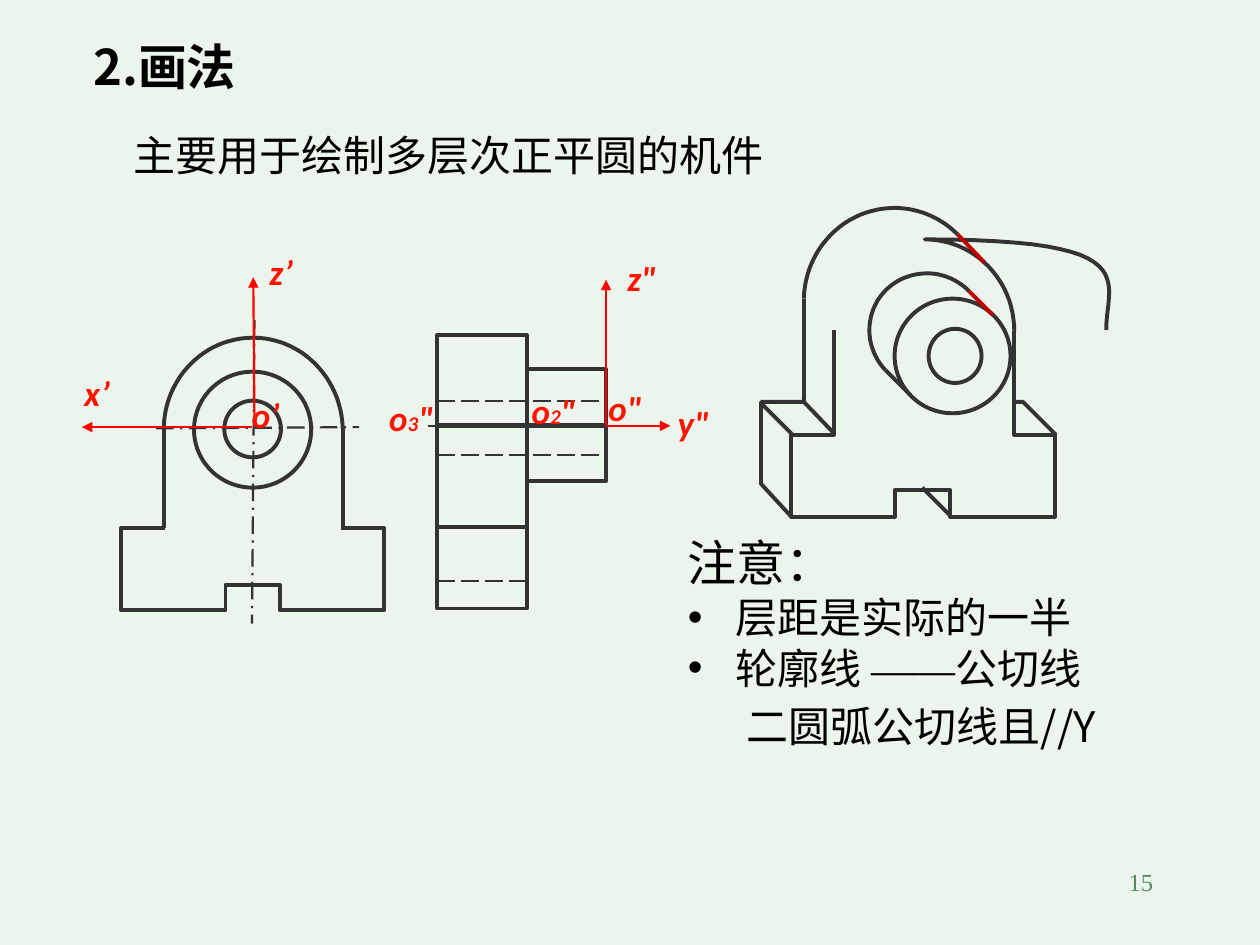
from lxml import etree
from pptx import Presentation
from pptx.dml.color import RGBColor
from pptx.enum.dml import MSO_LINE
from pptx.enum.shapes import MSO_CONNECTOR, MSO_SHAPE
from pptx.enum.text import MSO_ANCHOR, MSO_AUTO_SIZE, PP_ALIGN
from pptx.oxml.ns import qn
from pptx.util import Inches, Pt

DASH, CENTRE = MSO_LINE.LONG_DASH, MSO_LINE.LONG_DASH_DOT
STRAIGHT, OVAL = MSO_CONNECTOR.STRAIGHT, MSO_SHAPE.OVAL
LEFT, RIGHT = PP_ALIGN.LEFT, PP_ALIGN.RIGHT
CJK, LABEL_FONT, SERIF = "Noto Sans CJK SC", "Calibri", "Times New Roman"
COLORS = {"paper": "ECF5EC", "ink": "333333", "black": "000000", "axis": "FF0000",
          "label": "FE1402", "tangent": "C00000", "number": "578963"}
UNITS = 1000  # freeform units per inch
CURVE_STEPS = 24

# Text: boxes are left, top, width, height in inches
TITLE = ("2.画法", (0.64, 0.21, 9.36, 0.57))
INTRO = ("主要用于绘制多层次正平圆的机件", (0.96, 0.95, 9.04, 0.5))
CLOSING = ("二圆弧公切线且//Y", (5.83, 5.48, 4.17, 0.5))
NUMBER = ("15", (7.17, 6.83, 2.08, 0.5))
NOTES_BOX = (5.36, 4.15, 4.64, 1.37)
NOTES = [  # runs, size, bulleted
    (["注意："], 28, False),
    (["层距是实际的一半"], 24, True),
    (["轮廓线 ", "——", "公切线"], 24, True),
]
AXIS_LABELS = [  # letter, subscript, mark, left, top, width
    ("o", "2", "\"", 4.12, 3.04, 0.58), ("o", "3", "\"", 2.99, 3.1, 0.58),
    ("x", "", "’", 0.57, 2.9, 0.74), ("z", "", "’", 2.04, 1.94, 0.38),
    ("o", "", "’", 1.9, 3.07, 0.42), ("y", "", "\"", 5.28, 3.14, 0.47),
    ("z", "", "\"", 4.88, 1.99, 0.45), ("o", "", "\"", 4.73, 3.02, 0.49),
]

# Outlines: pairs are corners, six numbers are a curve (two controls, end)
FRONT_VIEW = [
    [(2.72, 3.4), (2.71, 3, 2.39, 2.68, 2.01, 2.68), (1.62, 2.68, 1.31, 3, 1.3, 3.39)],
    [(1.31, 4.19), (0.96, 4.19), (0.96, 4.84), (1.79, 4.84), (1.79, 4.64), (2.22, 4.64),
     (2.22, 4.84), (3.05, 4.84), (3.05, 4.19), (2.73, 4.19)],
]
SIDE_VIEW = [
    [(4.18, 4.83), (3.47, 4.83), (3.47, 2.66), (4.18, 2.66), (4.18, 2.93), (4.81, 2.93),
     (4.81, 3.82), (4.18, 3.82), (4.18, 4.83)],
]
OBLIQUE_VIEW = [
    [(7.03, 2.94), (6.95, 2.86, 6.9, 2.74, 6.9, 2.62), (6.9, 2.37, 7.1, 2.17, 7.36, 2.17),
     (7.48, 2.17, 7.6, 2.22, 7.69, 2.31)],
    [(8.05, 2.63), (8.05, 2.22, 7.73, 1.9, 7.34, 1.9), (9.1, 1.9, 8.78, 2.22, 8.78, 2.62)],
    [(7.6, 1.86), (7.47, 1.73, 7.29, 1.65, 7.1, 1.65), (6.71, 1.65, 6.39, 1.97, 6.38, 2.37)],
    [(6.62, 2.62), (6.62, 3.45), (6.28, 3.45), (6.28, 4.1), (7.1, 4.1), (7.1, 3.89),
     (7.54, 3.89), (7.54, 4.1), (8.37, 4.1), (8.37, 3.45), (8.05, 3.45), (8.05, 2.63)],
    [(6.38, 3.19), (6.04, 3.19), (6.04, 3.84), (6.28, 4.1)],
    [(8.38, 3.45), (8.12, 3.19), (8.04, 3.19)],
]
CIRCLES = [  # centre x, centre y, width, height
    (2.005, 3.41, 0.93, 0.92), (2.005, 3.405, 0.45, 0.45),
    (7.56, 2.825, 0.92, 0.91), (7.58, 2.825, 0.42, 0.43),
]
LINE_GROUPS = [  # colour, width, dash, arrow, (x1, y1, x2, y2)
    ("ink", 3, None, False, [(4.19, 3.38, 4.81, 3.38), (3.46, 3.38, 4.17, 3.38)]),
    ("ink", 2.25, None, False, [
        (1.3, 3.38, 1.3, 4.19), (2.72, 3.38, 2.72, 4.21),
        (4.18, 2.93, 4.18, 3.82), (3.47, 4.18, 4.18, 4.18),
        (7.03, 2.94, 7.23, 3.14), (6.38, 2.37, 6.38, 3.2), (6.04, 3.2, 6.29, 3.45),
        (6.38, 3.19, 6.62, 3.44), (7.54, 4.09, 7.32, 3.87)]),
    ("ink", 1.25, DASH, False, [(3.47, 3.18, 4.81, 3.18), (3.47, 3.61, 4.81, 3.61),
                                (3.47, 4.61, 4.18, 4.61)]),
    ("ink", 1.25, CENTRE, False, [(1.24, 3.4, 2.85, 3.39), (2.02, 2.54, 2, 4.95)]),
    ("ink", 0.75, CENTRE, False, [(3.4, 3.38, 4.99, 3.38)]),
    ("tangent", 2.25, None, False, [(7.69, 2.31, 7.88, 2.5), (7.6, 1.86, 7.81, 2.08)]),
    ("axis", 1.25, None, True, [(2, 3.39, 0.65, 3.39), (2.02, 3.37, 2.01, 2.2),
                                (4.81, 3.38, 5.32, 3.38), (4.81, 3.38, 4.81, 2.22)]),
]


def color(name):
    return RGBColor.from_string(COLORS[name])


def place(shape, box):
    shape.left, shape.top, shape.width, shape.height = map(Inches, box)


def style(para, size, font, ink, bold=False, italic=False, align=LEFT):
    para.alignment = align
    para.space_before = para.space_after = Pt(0)
    para.font.size, para.font.name = Pt(size), font
    para.font.bold, para.font.italic = bold, italic
    para.font.color.rgb = color(ink)
    if font == CJK:
        para.line_spacing = Pt(round(size * 1.2, 1))
        defaults = para._p.pPr.find(qn("a:defRPr"))
        etree.SubElement(defaults, qn("a:ea"), typeface=font)


def set_frame(shape, top_inset=0.05, wrap=True):
    frame = shape.text_frame
    frame.word_wrap, frame.auto_size = wrap, MSO_AUTO_SIZE.NONE
    frame.vertical_anchor = MSO_ANCHOR.TOP
    frame.margin_top = Inches(top_inset)
    return frame


def set_bullet(para, bulleted):
    props = para._p.get_or_add_pPr()
    indent = Inches(0.38) if bulleted else 0
    props.set("marL", str(indent))
    props.set("indent", str(-indent))
    if bulleted:
        etree.SubElement(props, qn("a:buFont"), typeface="Arial")
        etree.SubElement(props, qn("a:buChar"), char="•")
    else:
        etree.SubElement(props, qn("a:buNone"))


def draw_outline(shapes, segments):
    points = [segments[0]]
    for segment in segments[1:]:
        if len(segment) == 2:
            points.append(segment)
            continue
        start, a, b, end = points[-1], segment[:2], segment[2:4], segment[4:]
        for step in range(1, CURVE_STEPS + 1):
            t = step / CURVE_STEPS
            u = 1 - t
            points.append(tuple(u**3 * p + 3 * u * u * t * q + 3 * u * t * t * r + t**3 * s
                                for p, q, r, s in zip(start, a, b, end)))
    scaled = [(round(x * UNITS), round(y * UNITS)) for x, y in points]
    builder = shapes.build_freeform(*scaled[0], scale=Inches(1) / UNITS)
    builder.add_line_segments(scaled[1:], close=scaled[0] == scaled[-1])
    return builder.convert_to_shape()


def draw_line(shapes, ends, ink, width, dash, arrow):
    line = shapes.add_connector(STRAIGHT, *map(Inches, ends))
    line.line.color.rgb, line.line.width = color(ink), Pt(width)
    if dash:
        line.line.dash_style = dash
    if arrow:
        etree.SubElement(line.line._get_or_add_ln(), qn("a:tailEnd"), type="triangle")
    etree.SubElement(line._element.spPr, qn("a:effectLst"))


def main():
    deck = Presentation()
    deck.slide_width, deck.slide_height = Inches(10), Inches(7.5)
    page = deck.slides.add_slide(deck.slide_layouts[1])
    page.background.fill.solid()
    page.background.fill.fore_color.rgb = color("paper")
    shapes = page.shapes

    # Title, running text and page number
    body = page.placeholders[1]
    for (text, box), size, font, ink, align in (
            (TITLE, 28, CJK, "black", LEFT), (INTRO, 24, CJK, "black", LEFT),
            (CLOSING, 24, CJK, "black", LEFT), (NUMBER, 14, SERIF, "number", RIGHT)):
        is_title = text == TITLE[0]
        shape = shapes.title if is_title else shapes.add_textbox(0, 0, 0, 0)
        place(shape, box)
        frame = set_frame(shape, 0.08 if font == CJK else 0.05)
        frame.text = text
        style(frame.paragraphs[0], size, font, ink, bold=is_title, align=align)

    # Notes list
    place(body, NOTES_BOX)
    frame = set_frame(body, 0.08)
    for index, (texts, size, bulleted) in enumerate(NOTES):
        para = frame.paragraphs[0] if index == 0 else frame.add_paragraph()
        set_bullet(para, bulleted)
        style(para, size, CJK, "black")
        for text in texts:
            span = para.add_run()
            span.text = text
            if text == "——":
                span.font.name = SERIF
                etree.SubElement(span.font._element, qn("a:ea"), typeface=SERIF)

    # Three views of the part
    outlines = [draw_outline(shapes, path) for path in FRONT_VIEW + SIDE_VIEW + OBLIQUE_VIEW]
    circles = [shapes.add_shape(OVAL, *map(Inches, (x - w / 2, y - h / 2, w, h)))
               for x, y, w, h in CIRCLES]
    for shape in outlines + circles:
        shape.shadow.inherit = False
        shape.fill.background()
        shape.line.color.rgb, shape.line.width = color("ink"), Pt(2.25)
    for ink, width, dash, arrow, lines in LINE_GROUPS:
        for ends in lines:
            draw_line(shapes, ends, ink, width, dash, arrow)

    # Axis labels
    for letter, subscript, mark, left, top, width in AXIS_LABELS:
        box = shapes.add_textbox(*map(Inches, (left, top, width, 0.44)))
        para = set_frame(box, wrap=False).paragraphs[0]
        style(para, 20, LABEL_FONT, "label", bold=True, italic=True)
        for text in filter(None, (letter, subscript, mark)):
            span = para.add_run()
            span.text = text
            if text == subscript:
                span.font.size = Pt(12)

    deck.save("out.pptx")


if __name__ == "__main__":
    main()
